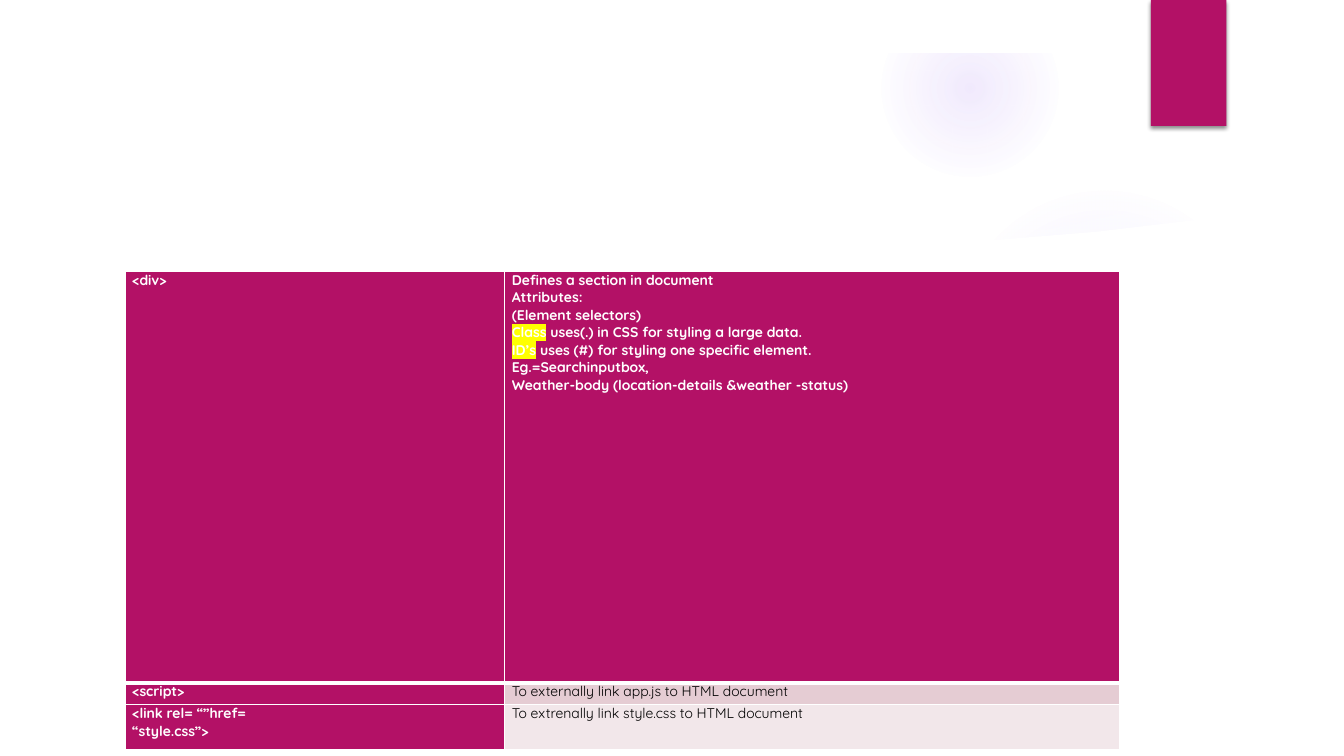
from lxml.etree import SubElement, Element
from pptx import Presentation
from pptx.dml.color import RGBColor
from pptx.enum.shapes import MSO_SHAPE
from pptx.oxml import parse_xml
from pptx.oxml.ns import qn, nsdecls
from pptx.util import Pt

CELL = 76200  # the slide is a grid of 160 columns by 90 rows
COLS, ROWS = 160, 90
HUES = {"pink": "B31166", "white": "FFFFFF", "black": "000000", "glow": "9B6BF2",
        "mark": "FFFF00", "rose": "E5CCD3", "blush": "F2E7EA"}


def span(count):
    return round(count * CELL)


def tint(fill, hue):
    fill.solid()
    fill.fore_color.rgb = RGBColor.from_string(HUES[hue])


def shade(hue, alpha):
    return (f'<a:srgbClr val="{HUES[hue]}">'
            f'<a:alpha val="{alpha * 1000}"/></a:srgbClr>')


class Page:
    font, size = "Quicksand", 10

    def __init__(self, deck):
        self.slide = deck.slides.add_slide(deck.slide_layouts[6])
        self.shapes = self.slide.shapes
        tint(self.slide.background.fill, "white")

    def block(self, kind, box, hue):
        shape = self.shapes.add_shape(kind, *map(span, box))
        shape.shadow.inherit = False
        tint(shape.fill, hue)
        shape.line.fill.background()
        return shape

    def glow(self, box, stops):
        """Circle that fades outwards; stops are (place, opacity) in percent."""
        shape = self.block(MSO_SHAPE.OVAL, box, "glow")
        marks = "".join(f'<a:gs pos="{at * 1000}">{shade("glow", alpha)}</a:gs>'
                        for at, alpha in stops)
        props = shape._element.spPr
        props.replace(props.find(qn("a:solidFill")), parse_xml(
            f'<a:gradFill {nsdecls("a")} rotWithShape="1"><a:gsLst>{marks}</a:gsLst>'
            '<a:path path="circle"><a:fillToRect l="50000" t="50000" r="50000" '
            'b="50000"/></a:path></a:gradFill>'))

    def sheet(self, points, alpha=100):
        """White outline through grid points."""
        first, *rest = [(round(x * 10), round(y * 10)) for x, y in points]
        pen = self.shapes.build_freeform(*first, scale=CELL / 10)
        pen.add_line_segments(rest, close=True)
        shape = pen.convert_to_shape()
        shape.shadow.inherit = False
        tint(shape.fill, "white")
        shape.line.fill.background()
        color = shape._element.spPr.find(qn("a:solidFill"))[0]
        SubElement(color, qn("a:alpha"), val=str(alpha * 1000))

    def tab(self, box):
        shape = self.block(MSO_SHAPE.RECTANGLE, box, "pink")
        shape._element.spPr.find(qn("a:effectLst")).append(parse_xml(
            f'<a:outerShdw {nsdecls("a")} blurRad="{Pt(3)}" dist="{Pt(2)}" '
            f'dir="5400000" rotWithShape="0">{shade("black", 45)}</a:outerShdw>'))

    def label(self, para, text, hue, bold, mark=False):
        run = para.add_run()
        run.text = text
        font = run.font
        font.size, font.bold, font.name = Pt(self.size), bold, self.font
        tint(font.fill, hue)
        if mark:
            light = Element(qn("a:highlight"))
            SubElement(light, qn("a:srgbClr"), val=HUES["mark"])
            run._r.rPr.find(qn("a:solidFill")).addnext(light)

    def edge(self, cell, widths):
        """White borders in the order left, right, top, bottom."""
        props = cell._tc.get_or_add_tcPr()
        for spot, (side, width) in enumerate(zip("LRTB", widths)):
            props.insert(spot, parse_xml(
                f'<a:ln{side} {nsdecls("a")} w="{Pt(width)}"><a:solidFill>'
                f'{shade("white", 100)}</a:solidFill></a:ln{side}>'))

    def table(self, left, top, wide, high, rows):
        frame = self.shapes.add_table(len(rows), len(wide), span(left), span(top),
                                      span(sum(wide)), span(sum(high)))
        grid = frame.table
        grid.first_row = grid.horz_banding = False
        for column, width in zip(grid.columns, wide):
            column.width = span(width)
        for r, row in enumerate(rows):
            grid.rows[r].height = span(high[r])
            for c, (fill, lines) in enumerate(row):
                cell = grid.cell(r, c)
                cell.margin_left = cell.margin_right = span(0.84)
                cell.margin_top = cell.margin_bottom = 0
                tint(cell.fill, fill)
                self.edge(cell, (1, 1, 3 if r == 1 else 1, 3 if r == 0 else 1))
                dark = fill == "pink"
                body = cell.text_frame
                for n, line in enumerate(lines):
                    para = body.add_paragraph() if n else body.paragraphs[0]
                    for k, text in enumerate(line):
                        self.label(para, text, "white" if dark else "black", dark,
                                   mark=len(line) > 1 and k == 0)


# Each line is a list of runs; a line of two runs has its first one highlighted.
TAGS = [
    [("pink", [["<div>"]]),
     ("pink", [["Defines a section in document"],
               ["Attributes:"],
               ["(Element selectors)"],
               ["Class", " uses(.) in CSS for styling a large data."],
               ["ID’s", " uses (#) for styling one specific element."],
               ["Eg.=Searchinputbox,"],
               ["Weather-body (location-details &weather -status)"]])],
    [("pink", [["<script>"]]),
     ("rose", [["To externally link app.js to HTML document"]])],
    [("pink", [["<link rel= “”href="], ["“style.css”>"]]),
     ("blush", [["To extrenally link style.css to HTML document"]])],
]
STREAK = [(111.6, 29.2), (119.9, 28.1), (126.4, 27), (135, 25.1), (143.4, 23.2),
          (148.4, 21.8), (154, 19.9), (154.7, 25.7), (144, 27.4), (132.3, 28.6),
          (112, 30)]
PANEL = [(6, 24.5), (30, 27.2), (58.5, 29.2), (85, 29.8), (104, 29.4), (117, 28.7),
         (130.5, 27.6), (144, 26), (154, 24.5), (154, 84), (6, 84)]


def main():
    deck = Presentation()
    deck.slide_width, deck.slide_height = span(COLS), span(ROWS)
    page = Page(deck)
    page.glow((113, 22, 37, 37), [(0, 7), (36, 6), (69, 0), (100, 0)])
    page.glow((105, 0, 21, 21), [(0, 14), (36, 7), (73, 0), (100, 0)])
    page.sheet(STREAK, alpha=20)
    page.sheet(PANEL)
    frame = page.block(MSO_SHAPE.FRAME, (0, 0, COLS, ROWS), "white")
    frame.adjustments[0] = 0.07
    page.tab((137, 0, 9, 15))
    page.table(14.9, 32.3, (45.2, 73.2), (49, 2.6, 5.3), TAGS)
    deck.save("out.pptx")


if __name__ == "__main__":
    main()
